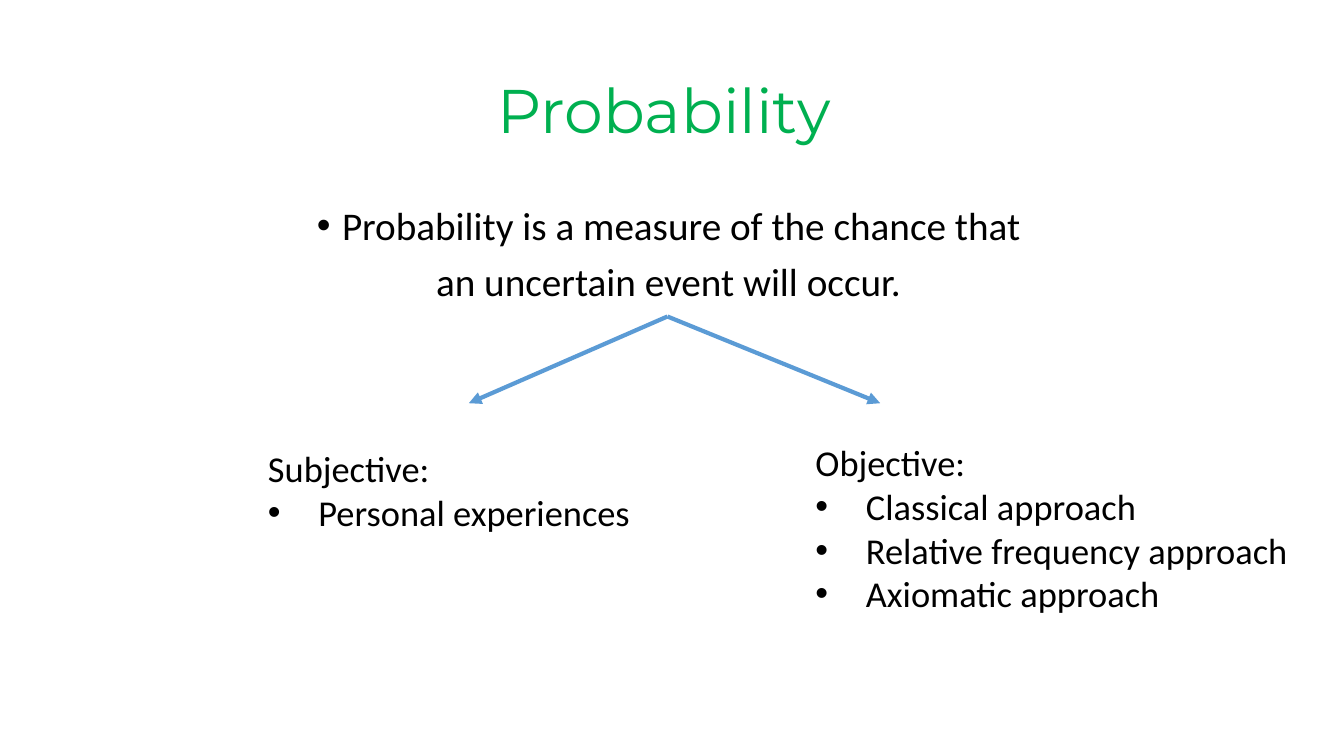
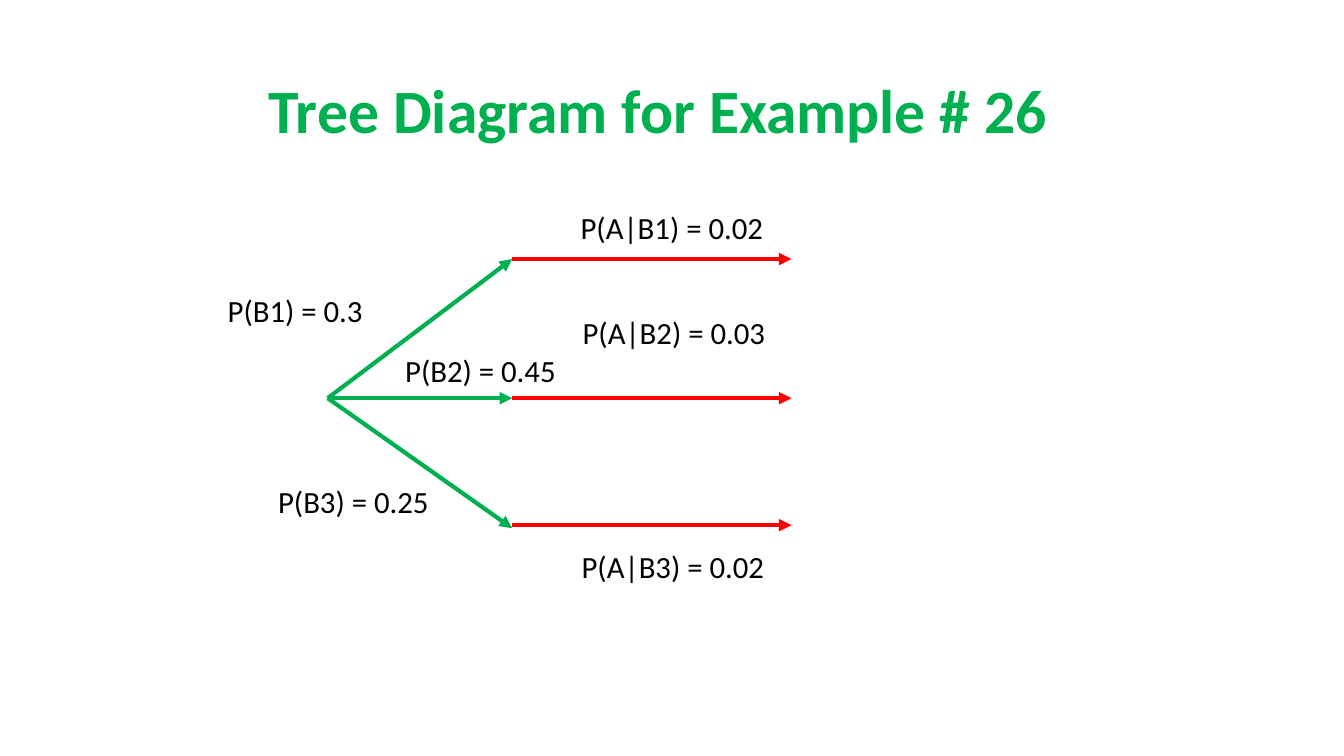
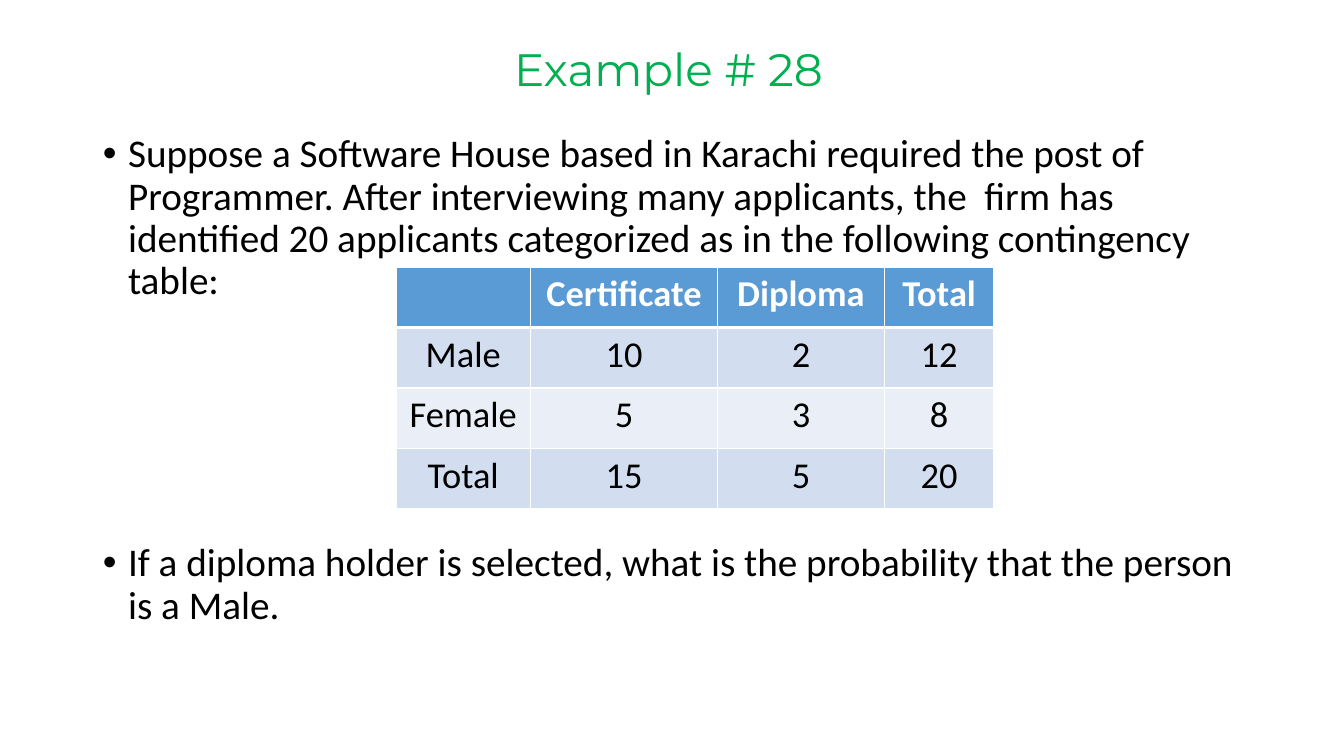
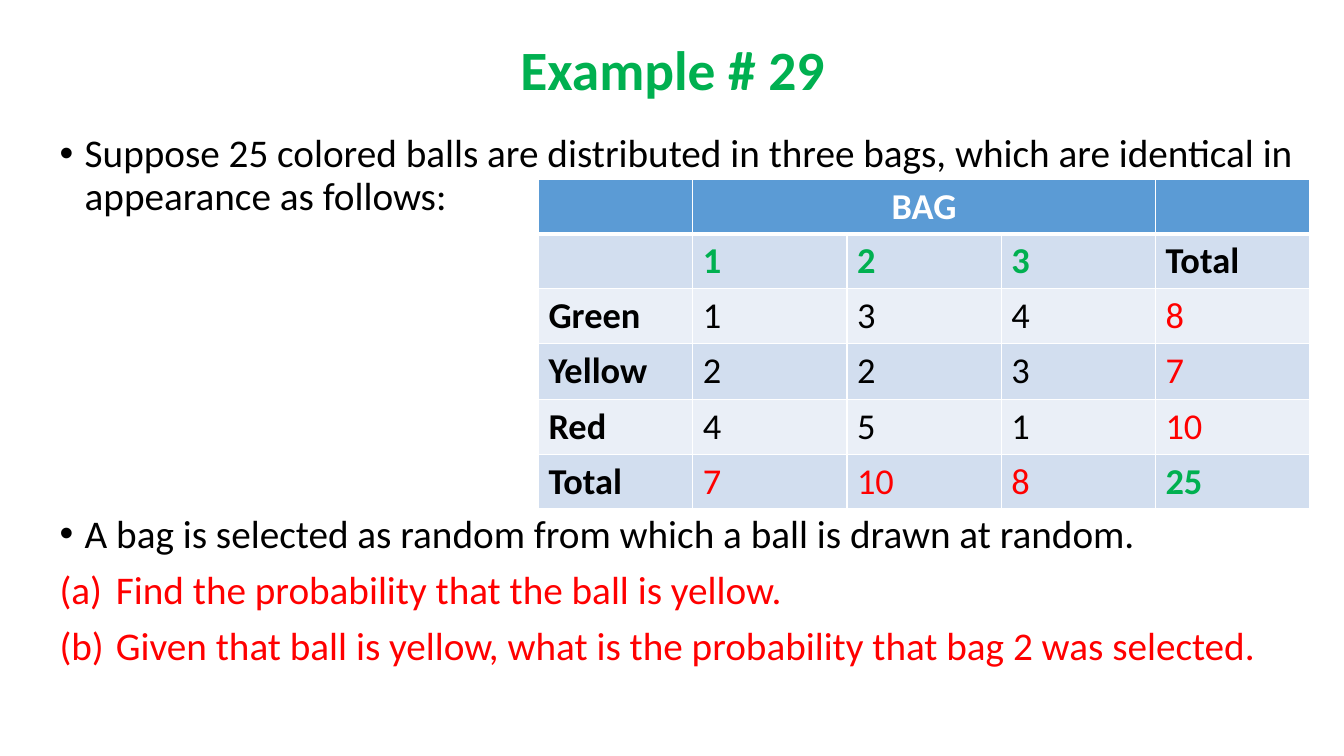
from lxml import etree
from pptx import Presentation
from pptx.dml.color import RGBColor
from pptx.enum.shapes import MSO_CONNECTOR
from pptx.enum.text import MSO_ANCHOR, MSO_AUTO_SIZE, PP_ALIGN
from pptx.oxml.ns import qn
from pptx.util import Emu, Pt

EMU_PER_PX = 9144  # 100 px to the inch
STRAIGHT = MSO_CONNECTOR.STRAIGHT
LEFT, CENTER = PP_ALIGN.LEFT, PP_ALIGN.CENTER
MIDDLE, TOP = MSO_ANCHOR.MIDDLE, MSO_ANCHOR.TOP
NO_FIT, GROW = MSO_AUTO_SIZE.NONE, MSO_AUTO_SIZE.SHAPE_TO_FIT_TEXT
TITLE_AND_BODY, TITLE_ONLY = 1, 5

COLORS = {
    "black": "000000",
    "white": "FFFFFF",
    "green": "00B050",
    "red": "FF0000",
    "blue": "5B9BD5",
    "band dark": "D2DEEF",
    "band light": "EAEFF7",
}
BODY_FONT, TITLE_FONT = "Calibri", "Montserrat"


def px(value):
    return Emu(value * EMU_PER_PX)


def box(left, top, width, height):
    return px(left), px(top), px(width), px(height)


def rgb(name):
    return RGBColor.from_string(COLORS[name])


class Deck:
    """Holds the shared style and the current slide."""

    def __init__(self):
        self.presentation = Presentation()
        self.presentation.slide_width = px(1333)
        self.presentation.slide_height = px(750)
        self.slide = None

    def add_slide(self, layout):
        layouts = self.presentation.slide_layouts
        self.slide = self.presentation.slides.add_slide(layouts[layout])

    def font(self, paragraph, size, color="black", bold=False, name=BODY_FONT):
        font = paragraph.font
        font.size, font.bold, font.name = Pt(size), bold, name
        font.color.rgb = rgb(color)

    def bullet(self, paragraph, kind, indent):
        """Kind is a bullet character, "(a)" for lettering, or None."""
        properties = paragraph._p.get_or_add_pPr()
        properties.set("marL", str(px(indent)))
        properties.set("indent", str(px(-indent)))
        if kind is None:
            etree.SubElement(properties, qn("a:buNone"))
        elif kind == "(a)":
            etree.SubElement(properties, qn("a:buFont"), typeface="+mj-lt")
            etree.SubElement(properties, qn("a:buAutoNum"), type="alphaLcParenBoth")
        else:
            etree.SubElement(properties, qn("a:buFont"), typeface="Arial")
            etree.SubElement(properties, qn("a:buChar"), char=kind)

    def paragraphs(self, frame, texts):
        """Fill the frame and yield each paragraph with its entry's options."""
        for index, (text, options) in enumerate(texts):
            paragraph = frame.add_paragraph() if index else frame.paragraphs[0]
            paragraph.text = text
            yield paragraph, options

    def placeholder(self, shape, bounds, anchor):
        shape.left, shape.top, shape.width, shape.height = box(*bounds)
        frame = shape.text_frame
        frame.word_wrap, frame.auto_size = True, NO_FIT
        frame.vertical_anchor = anchor
        return frame

    def title(self, text, size, left=92, height=145, bold=False, name=BODY_FONT):
        frame = self.placeholder(
            self.slide.shapes.title, (left, 40, 1150, height), MIDDLE)
        frame.text = text
        paragraph = frame.paragraphs[0]
        paragraph.alignment, paragraph.line_spacing = CENTER, 0.9
        self.font(paragraph, size, "green", bold, name)

    def body(self, bounds, texts, align=LEFT):
        frame = self.placeholder(self.slide.placeholders[1], bounds, TOP)
        for paragraph, options in self.paragraphs(frame, texts):
            paragraph.alignment, paragraph.line_spacing = align, 0.9
            paragraph.space_before = Pt(options.get("before", 10))
            self.bullet(paragraph, options.get("bullet", "•"), options.get("indent", 25))
            self.font(paragraph, 28, options.get("color", "black"))

    def text(self, bounds, heading, size, items=()):
        frame = self.slide.shapes.add_textbox(*box(*bounds)).text_frame
        frame.word_wrap, frame.auto_size = True, GROW
        texts = [(heading, None)] + [(item, "•") for item in items]
        for paragraph, bullet in self.paragraphs(frame, texts):
            if bullet:
                self.bullet(paragraph, bullet, 50)
            self.font(paragraph, size)

    def arrow(self, start, end, color):
        points = [px(value) for value in (*start, *end)]
        connector = self.slide.shapes.add_connector(STRAIGHT, *points)
        connector.line.color.rgb = rgb(color)
        connector.line.width = Pt(3)
        line = connector.line._get_or_add_ln()
        etree.SubElement(line, qn("a:tailEnd"), type="triangle")
        etree.SubElement(connector._element.spPr, qn("a:effectLst"))

    def borders(self, cell, row):
        """White hairlines, with a thick rule under the header row."""
        widths = {"L": 1, "R": 1, "T": 3 if row == 1 else 1, "B": 1 if row else 3}
        properties = cell._tc.get_or_add_tcPr()
        for side, width in widths.items():
            line = etree.SubElement(properties, qn("a:ln" + side), w=str(Pt(width)))
            fill = etree.SubElement(line, qn("a:solidFill"))
            etree.SubElement(fill, qn("a:srgbClr"), val=COLORS["white"])

    def table(self, left, top, widths, heights, rows, style, align=LEFT):
        """Style maps (row, column) to a text colour, weight pair below the header."""
        bounds = box(left, top, sum(widths), sum(heights))
        table = self.slide.shapes.add_table(len(rows), len(widths), *bounds).table
        for column, width in zip(table.columns, widths):
            column.width = px(width)
        for row, height in zip(table.rows, heights):
            row.height = px(height)
        bands = ("band dark", "band light")
        for i, values in enumerate(rows):
            for j, value in enumerate(values):
                cell = table.cell(i, j)
                self.borders(cell, i)
                cell.fill.solid()
                cell.fill.fore_color.rgb = rgb(bands[(i - 1) % 2] if i else "blue")
                if value:
                    cell.text = value
                    paragraph = cell.text_frame.paragraphs[0]
                    paragraph.alignment = align if i else CENTER
                    color, bold = style(i, j) if i else ("white", True)
                    self.font(paragraph, 26, color, bold)
        return table


def probability(deck):
    deck.add_slide(TITLE_AND_BODY)
    deck.title("Probability", 44, left=84, name=TITLE_FONT)
    deck.body((88, 200, 1150, 476), [
        ("Probability is a measure of the chance that", {}),
        ("an uncertain event will occur.", {"bullet": None, "indent": 0}),
    ], CENTER)
    for end in ((465, 400), (873, 400)):
        deck.arrow((662, 314), end, "blue")
    deck.text((256, 438, 417, 98), "Subjective:", 26, ["Personal experiences"])
    deck.text((799, 432, 534, 185), "Objective:", 26, [
        "Classical approach", "Relative frequency approach", "Axiomatic approach"])


def tree_diagram(deck):
    deck.add_slide(TITLE_ONLY)
    deck.title("Tree Diagram for Example # 26", 44, left=78, bold=True)
    # Branches: end of the first arrow, height of the second
    for first_end, second_y in ((257, 257), (395, 395), (524, 521)):
        deck.arrow((325, 395), (508, first_end), "green")
        deck.arrow((508, second_y), (785, second_y), "red")
    # Labels
    for left, top, width, label in (
        (216, 284, 187, "P(B1) = 0.3"),
        (392, 344, 175, "P(B2) = 0.45"),
        (266, 474, 175, "P(B3) = 0.25"),
        (566, 202, 218, "P(A|B1) = 0.02"),
        (568, 306, 218, "P(A|B2) = 0.03"),
        (567, 538, 218, "P(A|B3) = 0.02"),
    ):
        deck.text((left, top, width, 47), label, 22)


def applicants(deck):
    deck.add_slide(TITLE_AND_BODY)
    deck.title("Example # 28", 32.4, left=88, height=63, name=TITLE_FONT)
    deck.body((92, 128, 1150, 548), [
        ("Suppose a Software House based in Karachi required the post of "
         "Programmer. After interviewing many applicants, the  firm has identified "
         "20 applicants categorized as in the following contingency table:", {}),
        ("If a diploma holder is selected, what is the probability that the "
         "person is a Male.", {"before": 171}),
    ])
    deck.table(393, 265, [133, 186, 165, 109], [60] * 4, [
        ["", "Certificate", "Diploma", "Total"],
        ["Male", "10", "2", "12"],
        ["Female", "5", "3", "8"],
        ["Total", "15", "5", "20"],
    ], lambda row, column: ("black", False), CENTER)


def ball_style(row, column):
    """Totals are red, the bag numbers and grand total green, labels bold."""
    last_row, last_column = row == 5, column == 4
    if column == 0 or (row == 1 and last_column):
        return "black", True
    if row == 1 or (last_row and last_column):
        return "green", True
    return ("red" if last_row or last_column else "black"), False


def colored_balls(deck):
    deck.add_slide(TITLE_AND_BODY)
    deck.title("Example # 29", 39.6, height=63, bold=True)
    question = {"bullet": "(a)", "indent": 56, "color": "red"}
    deck.body((49, 128, 1249, 600), [
        ("Suppose 25 colored balls are distributed in three bags, which are "
         "identical in appearance as follows:", {}),
        ("A bag is selected as random from which a ball is drawn at random.",
         {"before": 211}),
        ("Find the probability that the ball is yellow.", question),
        ("Given that ball is yellow, what is the probability that bag 2 was "
         "selected.", question),
    ])
    table = deck.table(534, 178, [153] * 5, [52, 52, 54, 56, 52, 52], [
        ["", "BAG", "", "", ""],
        ["", "1", "2", "3", "Total"],
        ["Green", "1", "3", "4", "8"],
        ["Yellow", "2", "2", "3", "7"],
        ["Red", "4", "5", "1", "10"],
        ["Total", "7", "10", "8", "25"],
    ], ball_style)
    table.cell(0, 1).merge(table.cell(0, 3))


def main():
    deck = Deck()
    for build in (probability, tree_diagram, applicants, colored_balls):
        build(deck)
    deck.presentation.save("out.pptx")


if __name__ == "__main__":
    main()
